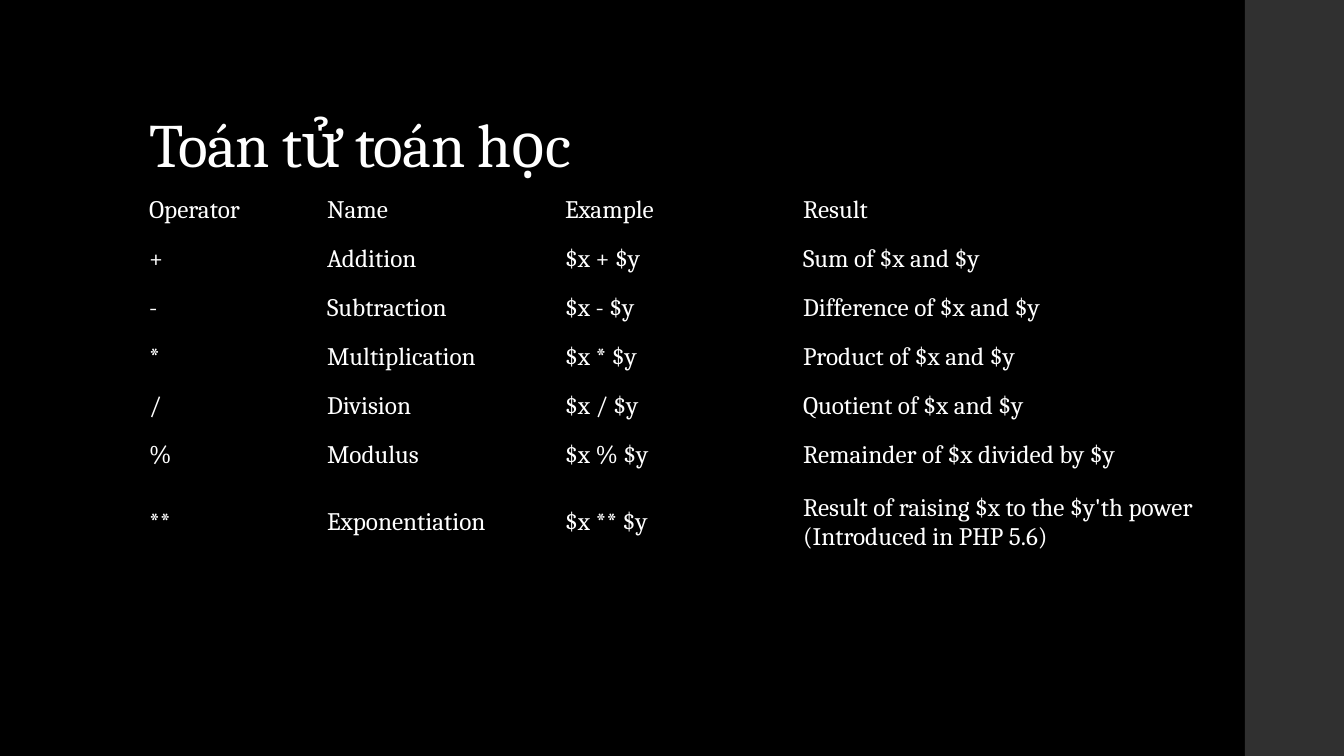
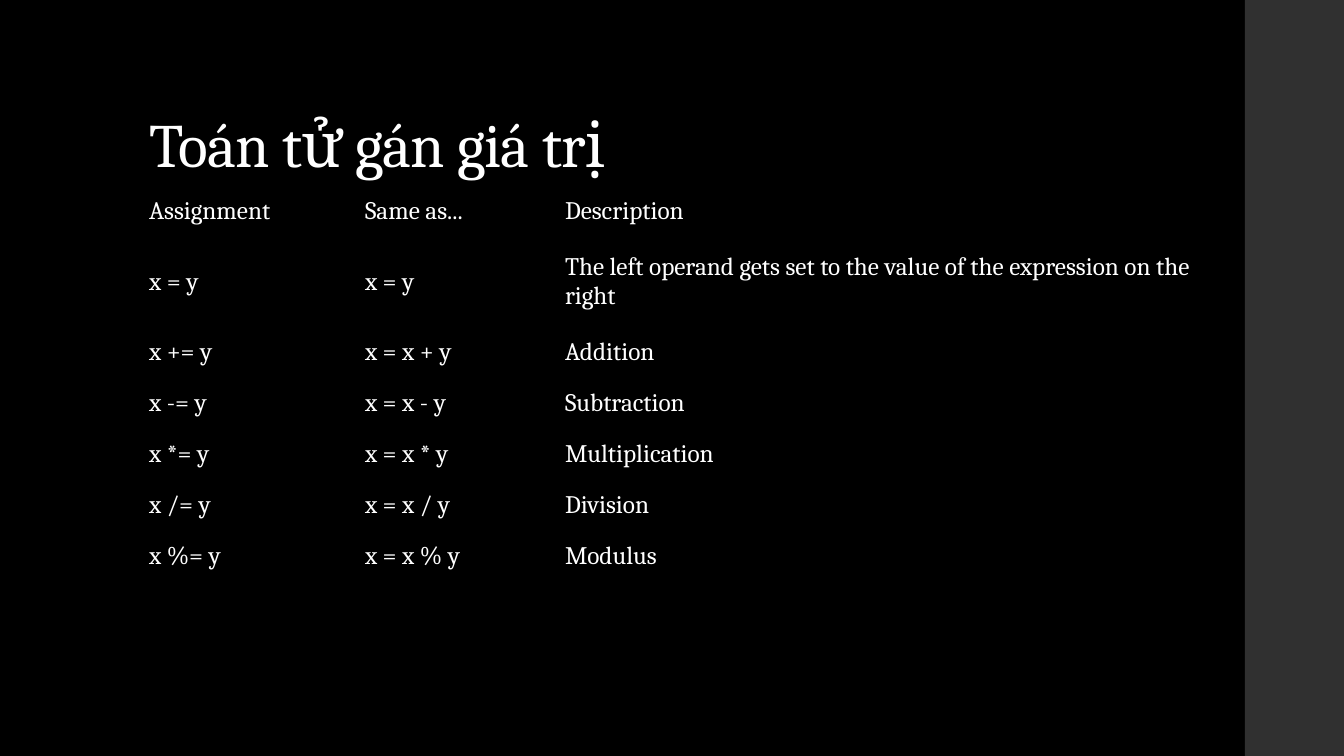
from dataclasses import dataclass

from pptx import Presentation
from pptx.dml.color import RGBColor
from pptx.enum.shapes import MSO_SHAPE
from pptx.enum.text import MSO_ANCHOR, MSO_AUTO_SIZE, PP_ALIGN
from pptx.presentation import Presentation as Deck
from pptx.slide import Slide
from pptx.text.text import _Paragraph as Paragraph
from pptx.util import Emu, Pt

RECT = MSO_SHAPE.RECTANGLE
MIDDLE, BOTTOM = MSO_ANCHOR.MIDDLE, MSO_ANCHOR.BOTTOM
LEFT = PP_ALIGN.LEFT
NO_AUTOFIT = MSO_AUTO_SIZE.NONE
TITLE_ONLY = 5
PLAIN_TABLE_STYLE = "{2D5ABB26-0587-4C30-8999-92F81FD0307C}"

SLIDE_W, SLIDE_H = 1344, 756
BAND_W = 99
MARGIN_X, TITLE_Y = 139, 40
CONTENT_W, TITLE_H = 1068, 146
TABLE_Y = TITLE_Y + TITLE_H


@dataclass(frozen=True)
class Theme:
    background: RGBColor = RGBColor(0x00, 0x00, 0x00)
    band: RGBColor = RGBColor(0x30, 0x30, 0x30)
    text: RGBColor = RGBColor(0xFF, 0xFF, 0xFF)
    font: str = "Cambria"
    title_size: int = 44
    table_size: int = 18
    title_line_spacing: float = 0.9
    title_tracking: str = "-50"  # hundredths of a point


@dataclass(frozen=True)
class OperatorTable:
    title: str
    col_widths: list[int]
    row_height: int
    tall_row: int
    tall_height: int
    rows: list[tuple[str, ...]]


THEME = Theme()

TABLES = [
    OperatorTable(
        "Toán tử toán học", [178, 238, 238, 415], 49, 6, 86,
        [
            ("Operator", "Name", "Example", "Result"),
            ("+", "Addition", "$x + $y", "Sum of $x and $y"),
            ("-", "Subtraction", "$x - $y", "Difference of $x and $y"),
            ("*", "Multiplication", "$x * $y", "Product of $x and $y"),
            ("/", "Division", "$x / $y", "Quotient of $x and $y"),
            ("%", "Modulus", "$x % $y", "Remainder of $x divided by $y"),
            ("**", "Exponentiation", "$x ** $y",
             "Result of raising $x to the $y'th power (Introduced in PHP 5.6)"),
        ],
    ),
    OperatorTable(
        "Toán tử gán giá trị", [216, 200, 653], 51, 1, 90,
        [
            ("Assignment", "Same as...", "Description"),
            ("x = y", "x = y",
             "The left operand gets set to the value of the expression on the right"),
            ("x += y", "x = x + y", "Addition"),
            ("x -= y", "x = x - y", "Subtraction"),
            ("x *= y", "x = x * y", "Multiplication"),
            ("x /= y", "x = x / y", "Division"),
            ("x %= y", "x = x % y", "Modulus"),
        ],
    ),
]


def px(n: int) -> Emu:
    return Emu(round(n * 12192000 / SLIDE_W))


def add_run(p: Paragraph, text: str, size: int) -> None:
    r = p.add_run()
    r.text = text
    r.font.name = THEME.font
    r.font.size = Pt(size)
    r.font.color.rgb = THEME.text


# Shared look: background and side band on the master
def style_master(prs: Deck, slide: Slide) -> None:
    master = prs.slide_master
    master.background.fill.solid()
    master.background.fill.fore_color.rgb = THEME.background
    band = slide.shapes.add_shape(
        RECT, px(SLIDE_W - BAND_W), 0, px(BAND_W), px(SLIDE_H))
    band.shadow.inherit = False
    band.fill.solid()
    band.fill.fore_color.rgb = THEME.band
    band.line.fill.background()
    master.shapes.element.insert(2, band.element)  # behind the placeholders


# Title placeholder
def set_title(slide: Slide, text: str) -> None:
    sp = slide.shapes.title
    sp.left, sp.top = px(MARGIN_X), px(TITLE_Y)
    sp.width, sp.height = px(CONTENT_W), px(TITLE_H)
    tf = sp.text_frame
    tf.word_wrap = True
    tf.auto_size = NO_AUTOFIT
    tf.vertical_anchor = BOTTOM
    p = tf.paragraphs[0]
    p.alignment = LEFT
    p.line_spacing = THEME.title_line_spacing
    add_run(p, text, THEME.title_size)
    for run_props in sp.element.xpath(".//a:rPr"):
        run_props.set("spc", THEME.title_tracking)


# Borderless table
def add_operator_table(slide: Slide, data: OperatorTable) -> None:
    heights = [data.row_height] * len(data.rows)
    heights[data.tall_row] = data.tall_height
    frame = slide.shapes.add_table(
        len(data.rows), len(data.col_widths), px(MARGIN_X), px(TABLE_Y),
        px(sum(data.col_widths)), px(sum(heights)))
    frame.element.xpath(".//a:tableStyleId")[0].text = PLAIN_TABLE_STYLE
    table = frame.table
    table.first_row = table.horz_banding = False
    for column, width in zip(table.columns, data.col_widths):
        column.width = px(width)
    for row, height, texts in zip(table.rows, heights, data.rows):
        row.height = px(height)
        for cell, text in zip(row.cells, texts):
            cell.fill.background()
            cell.vertical_anchor = MIDDLE
            add_run(cell.text_frame.paragraphs[0], text, THEME.table_size)


def main() -> None:
    prs = Presentation()
    prs.slide_width, prs.slide_height = px(SLIDE_W), px(SLIDE_H)
    for i, data in enumerate(TABLES):
        slide = prs.slides.add_slide(prs.slide_layouts[TITLE_ONLY])
        if i == 0:
            style_master(prs, slide)
        set_title(slide, data.title)
        add_operator_table(slide, data)
    prs.save("out.pptx")


if __name__ == "__main__":
    main()
